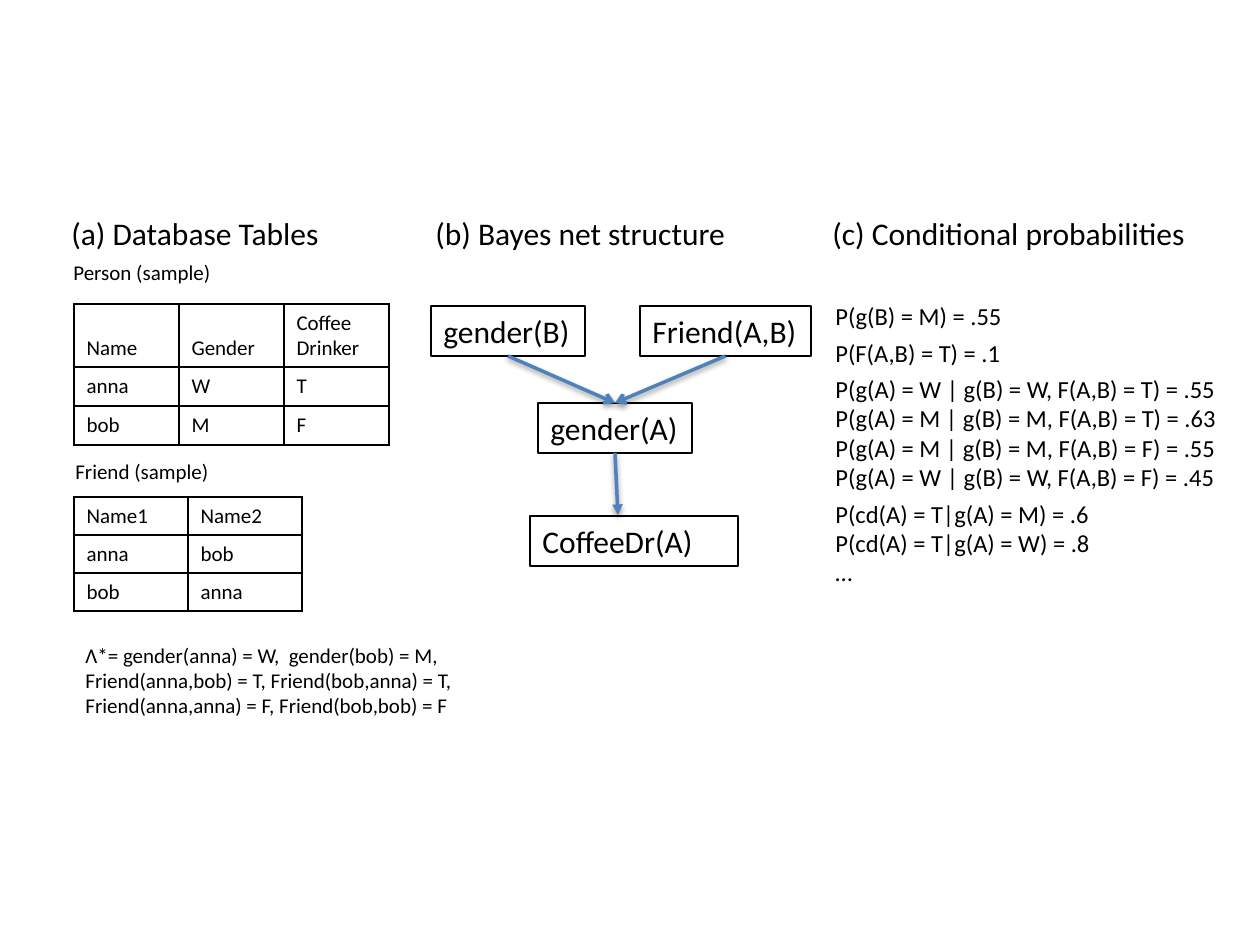
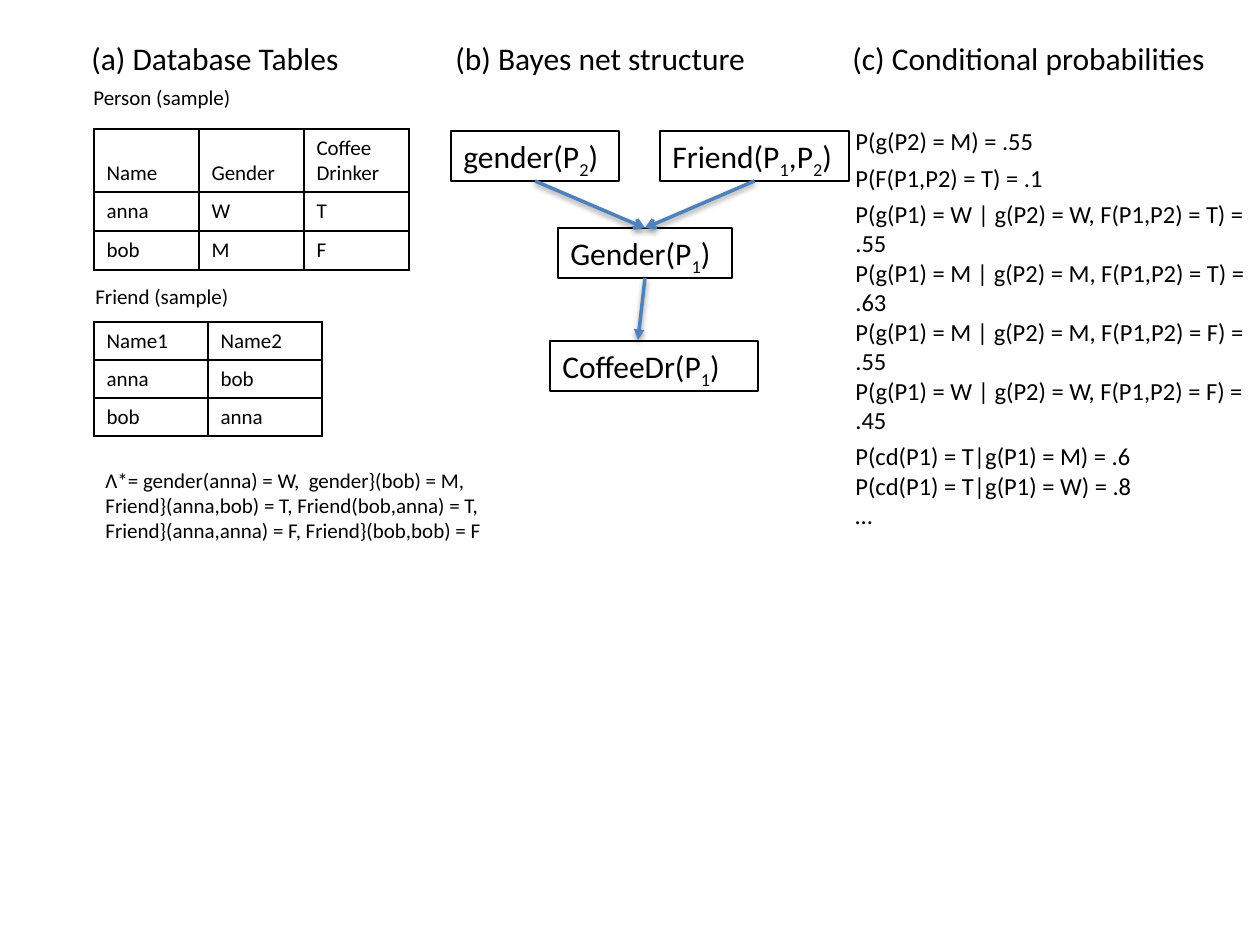
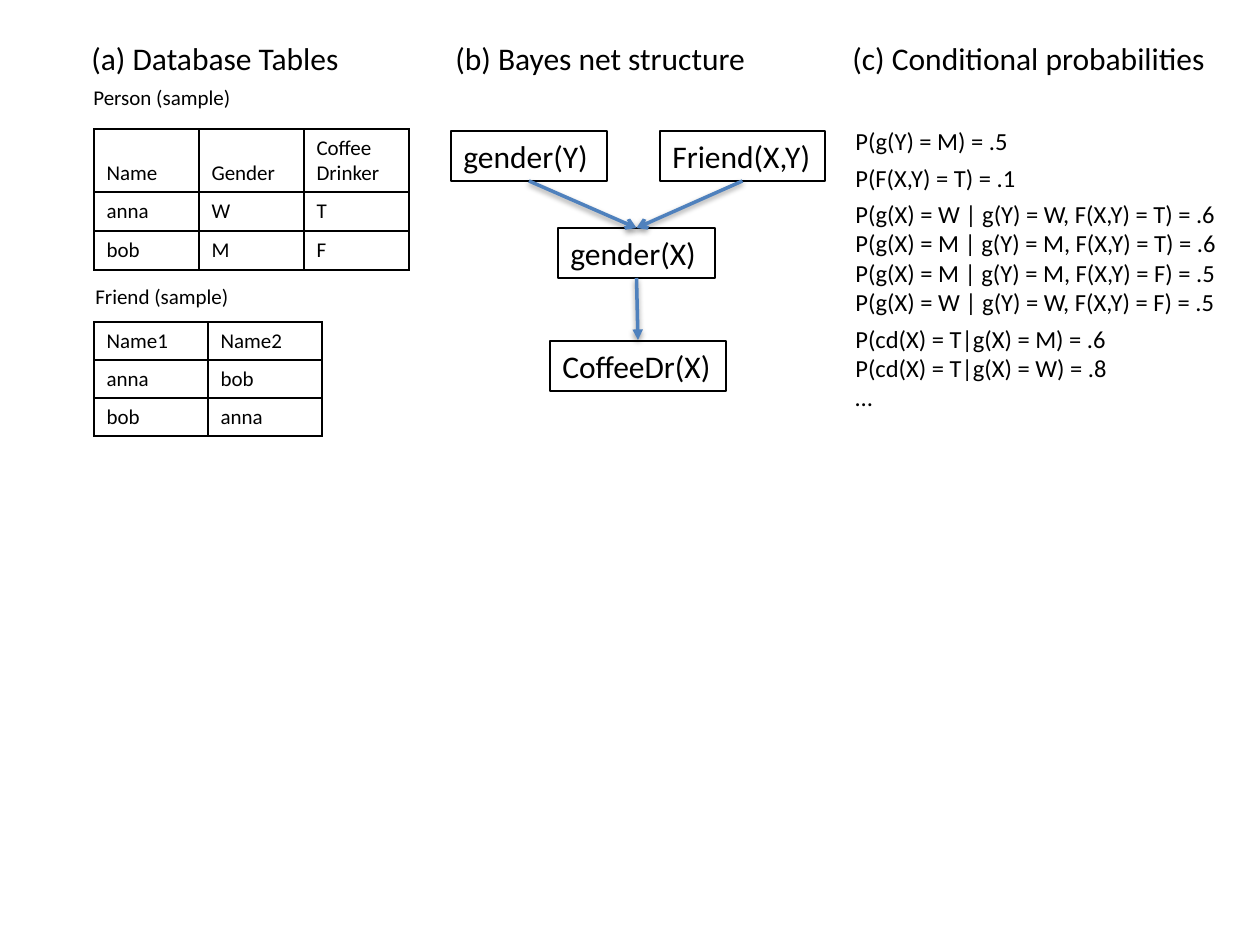
from dataclasses import dataclass

from lxml.etree import SubElement
from pptx import Presentation
from pptx.dml.color import RGBColor
from pptx.enum.shapes import MSO_CONNECTOR as Connector, MSO_SHAPE as Shape
from pptx.enum.text import MSO_ANCHOR as Anchor
from pptx.oxml import parse_xml
from pptx.oxml.ns import nsdecls, qn
from pptx.util import Emu, Pt

EMU_PER_PX = 914400 / 126
SLIDE_SIZE = (1260, 945)
FONT = "Calibri"
COLORS = {"ink": "000000", "arrow": "4F81BD"}
HEADING_SIZE, FORMULA_SIZE, SMALL_SIZE = 18, 14, 12
BOX_HEIGHT = 50
GROUP_GAP = 4

PERSON_ROWS = [
    ["Name", "Gender", "Coffee Drinker"],
    ["anna", "W", "T"],
    ["bob", "M", "F"],
]
FRIEND_ROWS = [["Name1", "Name2"], ["anna", "bob"], ["bob", "anna"]]
HEADINGS = [
    ("(a) Database Tables", 79, 278),
    ("(b) Bayes net structure", 443, 320),
    ("(c) Conditional probabilities", 840, 382),
]


@dataclass
class Example:
    """One version of the figure; text between underscores is subscript."""
    origin: tuple
    child: str
    parent: str
    widths: tuple
    prior: str
    gender_values: tuple
    formula_box: tuple
    child_function: str = "gender"
    facts: str = ""


EXAMPLES = [
    Example((-20, 175), "A", "B", (154, 171, 154, 208), ".55",
            (".55", ".63", ".55", ".45"), (417, 301),
            facts="Λ*= gender(anna) = W,  gender(bob) = M, "
                  "Friend(anna,bob) = T, Friend(bob,anna) = T, "
                  "Friend(anna,anna) = F, Friend(bob,bob) = F"),
    Example((0, 0), "P_1_", "P_2_", (168, 189, 174, 208), ".55",
            (".55", ".63", ".55", ".45"), (417, 420), child_function="Gender",
            facts="Λ*= gender(anna) = W,  gender}(bob) = M, "
                  "Friend}(anna,bob) = T, Friend(bob,anna) = T, "
                  "Friend}(anna,anna) = F, Friend}(bob,bob) = F"),
    Example((0, 0), "X", "Y", (156, 165, 157, 176), ".5",
            (".6", ".6", ".5", ".5"), (392, 301)),
]


def px(length):
    return Emu(round(length * EMU_PER_PX))


def color(name):
    return RGBColor.from_string(COLORS[name])


def add_runs(paragraph, text, size):
    for index, part in enumerate(text.split("_")):
        if not part:
            continue
        run = paragraph.add_run()
        run.text = part
        run.font.name = FONT
        run.font.size = Pt(size)
        run.font.color.rgb = color("ink")
        if index % 2:
            run._r.get_or_add_rPr().set("baseline", "-25000")


def add_text(slide, groups, left, top, width, height, size):
    """Add a text box with one paragraph per line and a gap between groups."""
    frame = slide.shapes.add_textbox(px(left), px(top), px(width), px(height)).text_frame
    frame.word_wrap = True
    paragraph = frame.paragraphs[0]
    for group_index, lines in enumerate(groups):
        for line_index, line in enumerate(lines):
            if group_index or line_index:
                paragraph = frame.add_paragraph()
            if group_index and not line_index:
                paragraph.space_before = Pt(GROUP_GAP)
            add_runs(paragraph, line, size)


def add_node(slide, label, left, top, width):
    """Add a framed node and return its top centre and bottom centre."""
    shape = slide.shapes.add_shape(
        Shape.RECTANGLE, px(left), px(top), px(width), px(BOX_HEIGHT))
    shape.shadow.inherit = False
    shape.fill.background()
    shape.line.color.rgb = color("ink")
    shape.line.width = Pt(0.75)
    frame = shape.text_frame
    frame.word_wrap = True
    frame.margin_right = 0
    frame.vertical_anchor = Anchor.TOP
    paragraph = frame.paragraphs[0]
    paragraph.alignment = 1
    add_runs(paragraph, label, HEADING_SIZE)
    center = left + width / 2
    return (center, top), (center, top + BOX_HEIGHT)


def add_arrow(slide, start, end, head):
    connector = slide.shapes.add_connector(
        Connector.STRAIGHT, *(px(value) for value in (*start, *end)))
    connector.line.color.rgb = color("arrow")
    connector.line.width = Pt(2)
    properties = connector._element.spPr
    SubElement(properties.find(qn("a:ln")), qn("a:tailEnd"), type=head)
    properties.append(parse_xml(
        f'<a:effectLst {nsdecls("a")}>'
        '<a:outerShdw blurRad="40000" dist="20000" dir="5400000" rotWithShape="0">'
        f'<a:srgbClr val="{COLORS["ink"]}"><a:alpha val="38000"/></a:srgbClr>'
        '</a:outerShdw></a:effectLst>'))


def add_borders(cell):
    properties = cell._tc.get_or_add_tcPr()
    for index, side in enumerate("LRTB"):
        properties.insert(index, parse_xml(
            f'<a:ln{side} {nsdecls("a")} w="12700"><a:solidFill>'
            f'<a:srgbClr val="{COLORS["ink"]}"/></a:solidFill></a:ln{side}>'))


def add_grid(slide, rows, left, top, column_width, row_heights):
    width = column_width * len(rows[0])
    table = slide.shapes.add_table(
        len(rows), len(rows[0]), px(left), px(top), px(width), px(sum(row_heights))).table
    table.first_row = table.horz_banding = False
    for column in table.columns:
        column.width = px(column_width)
    for row_index, (values, height) in enumerate(zip(rows, row_heights)):
        table.rows[row_index].height = px(height)
        for column_index, value in enumerate(values):
            cell = table.cell(row_index, column_index)
            cell.fill.background()
            cell.vertical_anchor = Anchor.TOP if row_index else Anchor.BOTTOM
            add_borders(cell)
            add_runs(cell.text_frame.paragraphs[0], value, SMALL_SIZE)


def add_database(slide, x, y):
    for label, left, top, width in (("Person (sample)", 81, 78, 197),
                                    ("Friend (sample)", 83, 277, 161)):
        add_text(slide, [[label]], x + left, y + top, width, 38, SMALL_SIZE)
    add_grid(slide, PERSON_ROWS, x + 94, y + 129, 105, (63, 39, 39))
    add_grid(slide, FRIEND_ROWS, x + 94, y + 322, 114, (38, 38, 38))


def add_network(slide, example, x, y):
    child, parent = example.child, example.parent
    labels = (f"gender({parent})", f"Friend({child},{parent})",
              f"{example.child_function}({child})", f"CoffeeDr({child})")
    places = ((451, 131), (660, 131), (558, 228), (550, 341))
    nodes = [add_node(slide, label, x + left, y + top, width)
             for label, (left, top), width in zip(labels, places, example.widths)]
    child_top, child_bottom = nodes[2]
    for _, parent_bottom in nodes[:2]:
        add_arrow(slide, parent_bottom, child_top, "arrow")
    add_arrow(slide, child_bottom, (x + 638, y + 340), "triangle")


def probability_groups(example):
    child, parent = (name.replace("_", "") for name in (example.child, example.parent))
    cases = zip("WMMW", "TTFF", example.gender_values)
    return [
        [f"P(g({parent}) = M) = {example.prior}"],
        [f"P(F({child},{parent}) = T) = .1"],
        [f"P(g({child}) = {gender} | g({parent}) = {gender}, "
         f"F({child},{parent}) = {friend}) = {value}"
         for gender, friend, value in cases],
        [f"P(cd({child}) = T|g({child}) = M) = .6",
         f"P(cd({child}) = T|g({child}) = W) = .8", "…"],
    ]


def add_example(slide, example):
    x, y = example.origin
    for heading, left, width in HEADINGS:
        add_text(slide, [[heading]], x + left, y + 33, width, BOX_HEIGHT, HEADING_SIZE)
    add_database(slide, x, y)
    add_network(slide, example, x, y)
    add_text(slide, probability_groups(example), x + 843, y + 120,
             *example.formula_box, FORMULA_SIZE)
    if example.facts:
        add_text(slide, [[example.facts]], x + 93, y + 461, 435, 90, SMALL_SIZE)


def main():
    presentation = Presentation()
    presentation.slide_width, presentation.slide_height = map(px, SLIDE_SIZE)
    blank_layout = presentation.slide_layouts[6]
    for example in EXAMPLES:
        add_example(presentation.slides.add_slide(blank_layout), example)
    presentation.save("out.pptx")


if __name__ == "__main__":
    main()
